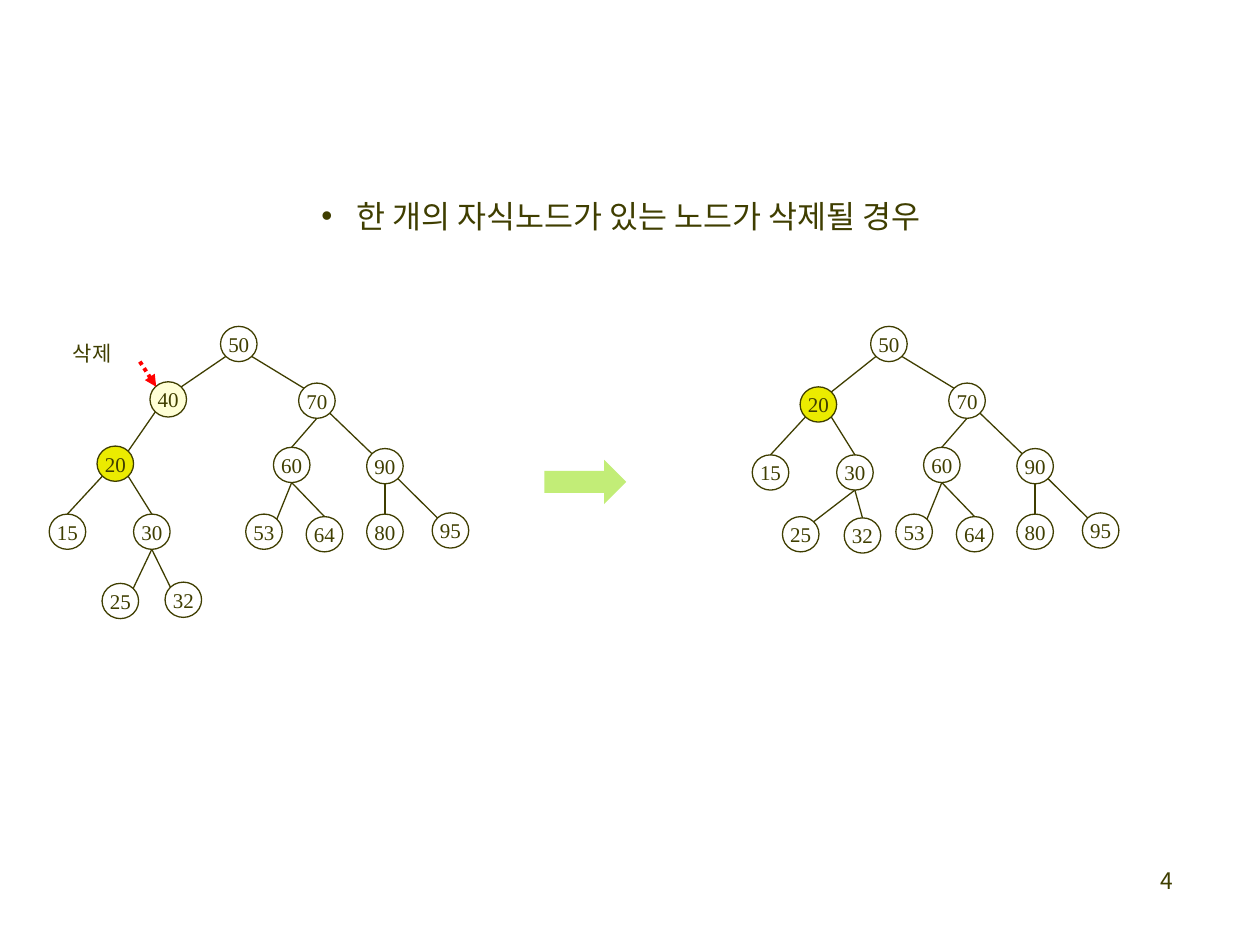
from dataclasses import dataclass

from lxml.etree import SubElement
from pptx import Presentation
from pptx.dml.color import RGBColor
from pptx.enum.dml import MSO_LINE
from pptx.enum.shapes import MSO_CONNECTOR, MSO_SHAPE
from pptx.enum.text import MSO_ANCHOR, MSO_AUTO_SIZE, PP_ALIGN
from pptx.oxml.ns import qn
from pptx.util import Inches, Pt


@dataclass(frozen=True)
class Theme:
    ink: RGBColor = RGBColor(0x3F, 0x3E, 0x00)
    deleted: RGBColor = RGBColor(0xFF, 0xFF, 0xD6)
    moved: RGBColor = RGBColor(0xEB, 0xEB, 0x00)
    arrow: RGBColor = RGBColor(0xC2, 0xED, 0x77)
    pointer: RGBColor = RGBColor(0xFF, 0x00, 0x00)
    korean_font: str = "Noto Sans CJK KR"
    label_font: str = "Arial"
    node_font: str = "Times New Roman"
    title_size: Pt = Pt(18)
    number_size: Pt = Pt(13)
    label_size: Pt = Pt(12)
    line_width: Pt = Pt(0.75)
    pointer_width: Pt = Pt(2.25)


THEME = Theme()
NODE_WIDTH, NODE_HEIGHT = 0.29, 0.28

# Connection sites of an ellipse: index and position as a share of its size
SITES = {
    "top": (0, 0.5, 0), "top left": (1, 0.15, 0.15), "bottom left": (3, 0.15, 0.85),
    "bottom": (4, 0.5, 1), "bottom right": (5, 0.85, 0.85), "top right": (7, 0.85, 0.15),
}

# Node positions and edges, relative to the left top corner of a tree
RIGHT_NODES = {
    50: (1.36, 0), 70: (1.98, 0.45), 60: (1.78, 0.96), 90: (2.52, 0.97),
    53: (1.56, 1.49), 64: (2.04, 1.51), 80: (2.52, 1.49), 95: (3.04, 1.48),
}
BEFORE_NODES = RIGHT_NODES | {
    40: (0.8, 0.44), 20: (0.38, 0.95), 15: (0, 1.49), 30: (0.67, 1.49),
    25: (0.42, 2.04), 32: (0.92, 2.03),
}
AFTER_NODES = RIGHT_NODES | {
    20: (0.8, 0.48), 15: (0.42, 1.02), 30: (1.09, 1.02),
    25: (0.66, 1.51), 32: (1.15, 1.52),
}
SHARED_EDGES = [
    (50, "bottom right", 70, "top left"), (70, "bottom", 60, "top"),
    (70, "bottom right", 90, "top left"), (60, "bottom", 53, "top right"),
    (60, "bottom", 64, "top"), (90, "bottom", 80, "top"),
    (90, "bottom right", 95, "top left"), (20, "bottom left", 15, "top"),
    (20, "bottom right", 30, "top"), (30, "bottom", 25, "top right"),
]
BEFORE_EDGES = SHARED_EDGES + [
    (50, "bottom left", 40, "top right"), (40, "bottom left", 20, "top right"),
    (30, "bottom", 32, "top left"),
]
AFTER_EDGES = SHARED_EDGES + [
    (50, "bottom left", 20, "top right"), (30, "bottom", 32, "top"),
]


def style_paragraph(paragraph, text, size, font_name, alignment=PP_ALIGN.LEFT):
    paragraph.text = text
    paragraph.alignment = alignment
    font = paragraph.font
    font.size, font.name = size, font_name
    font.color.rgb = THEME.ink
    # East Asian face for the Korean letters
    properties = paragraph._p.get_or_add_pPr().find(qn("a:defRPr"))
    for run in paragraph.runs:
        run.font.size, run.font.name = size, font_name
        run.font.color.rgb = THEME.ink
        SubElement(run._r.get_or_add_rPr(), qn("a:ea"), typeface=THEME.korean_font)
    SubElement(properties, qn("a:ea"), typeface=THEME.korean_font)


def add_line(slide, start, end, color, width):
    points = [Inches(value) for value in (*start, *end)]
    line = slide.shapes.add_connector(MSO_CONNECTOR.STRAIGHT, *points)
    line.line.color.rgb, line.line.width = color, width
    SubElement(line._element.spPr, qn("a:effectLst"))
    return line


def add_title(slide, left, top, width, height):
    title = slide.shapes.title
    title.left, title.top, title.width, title.height = map(Inches, (left, top, width, height))
    frame = title.text_frame
    frame.word_wrap = True
    frame.auto_size = MSO_AUTO_SIZE.NONE
    frame.vertical_anchor = MSO_ANCHOR.TOP
    paragraph = frame.paragraphs[0]
    style_paragraph(paragraph, "한 개의 자식노드가 있는 노드가 삭제될 경우",
                    THEME.title_size, THEME.korean_font)
    paragraph.line_spacing = 1.5
    # Bullet with a hanging indent
    properties = paragraph._p.get_or_add_pPr()
    properties.set("marL", str(Inches(0.28)))
    properties.set("indent", str(Inches(-0.28)))
    bullet_font = properties.makeelement(qn("a:buFont"), typeface=THEME.label_font)
    bullet = properties.makeelement(qn("a:buChar"), char="•")
    defaults = properties.find(qn("a:defRPr"))
    defaults.addprevious(bullet_font)
    defaults.addprevious(bullet)


def add_text(slide, box, text, size, font_name, alignment=PP_ALIGN.LEFT, spacing=1.0):
    frame = slide.shapes.add_textbox(*map(Inches, box)).text_frame
    frame.word_wrap = True
    paragraph = frame.paragraphs[0]
    style_paragraph(paragraph, text, size, font_name, alignment)
    paragraph.line_spacing = spacing


def add_node(slide, left, top, key, fill):
    node = slide.shapes.add_shape(MSO_SHAPE.OVAL, Inches(left), Inches(top),
                                  Inches(NODE_WIDTH), Inches(NODE_HEIGHT))
    node.shadow.inherit = False
    if fill is None:
        node.fill.background()
    else:
        node.fill.solid()
        node.fill.fore_color.rgb = fill
    node.line.color.rgb, node.line.width = THEME.ink, THEME.line_width
    frame = node.text_frame
    frame.margin_left = frame.margin_right = frame.margin_top = frame.margin_bottom = 0
    frame.word_wrap = False
    frame.vertical_anchor = MSO_ANCHOR.MIDDLE
    style_paragraph(frame.paragraphs[0], str(key), THEME.label_size,
                    THEME.node_font, PP_ALIGN.CENTER)
    return node


def add_tree(slide, left, top, positions, edges, fills):
    nodes = {key: add_node(slide, left + x, top + y, key, fills.get(key))
             for key, (x, y) in positions.items()}

    def site_point(key, site):
        x, y = positions[key]
        _, across, down = SITES[site]
        return left + x + across * NODE_WIDTH, top + y + down * NODE_HEIGHT

    for parent, parent_site, child, child_site in edges:
        edge = add_line(slide, site_point(parent, parent_site),
                        site_point(child, child_site), THEME.ink, THEME.line_width)
        # Glue both ends to the nodes
        ends = (("a:stCxn", parent, parent_site), ("a:endCxn", child, child_site))
        for tag, key, site in ends:
            SubElement(edge._element.nvCxnSpPr.cNvCxnSpPr, qn(tag),
                       id=str(nodes[key].shape_id), idx=str(SITES[site][0]))


def add_delete_mark(slide, left, top):
    add_text(slide, (left, top, 0.63, 0.4), "삭제", THEME.label_size,
             THEME.label_font, spacing=1.5)
    pointer = add_line(slide, (left + 0.63, top + 0.32), (left + 0.76, top + 0.52),
                       THEME.pointer, THEME.pointer_width)
    pointer.line.dash_style = MSO_LINE.ROUND_DOT
    SubElement(pointer.line._get_or_add_ln(), qn("a:tailEnd"), type="triangle")


def add_step_arrow(slide, left, top, width, height):
    arrow = slide.shapes.add_shape(MSO_SHAPE.RIGHT_ARROW,
                                   *map(Inches, (left, top, width, height)))
    arrow.shadow.inherit = False
    arrow.fill.solid()
    arrow.fill.fore_color.rgb = THEME.arrow
    arrow.line.fill.background()


def main():
    presentation = Presentation()
    presentation.slide_width, presentation.slide_height = Inches(10), Inches(7.5)
    slide = presentation.slides.add_slide(presentation.slide_layouts[5])

    add_title(slide, 2.45, 1.36, 6.18, 0.56)
    # Tree before and after the deletion
    add_tree(slide, 0.39, 2.59, BEFORE_NODES, BEFORE_EDGES,
             {40: THEME.deleted, 20: THEME.moved})
    add_delete_mark(slide, 0.48, 2.55)
    add_step_arrow(slide, 4.32, 3.65, 0.65, 0.35)
    add_tree(slide, 5.55, 2.59, AFTER_NODES, AFTER_EDGES, {20: THEME.moved})
    # Page number
    add_text(slide, (7.33, 6.83, 2.08, 0.5), "4", THEME.number_size,
             THEME.korean_font, PP_ALIGN.RIGHT)
    presentation.save("out.pptx")


if __name__ == "__main__":
    main()
